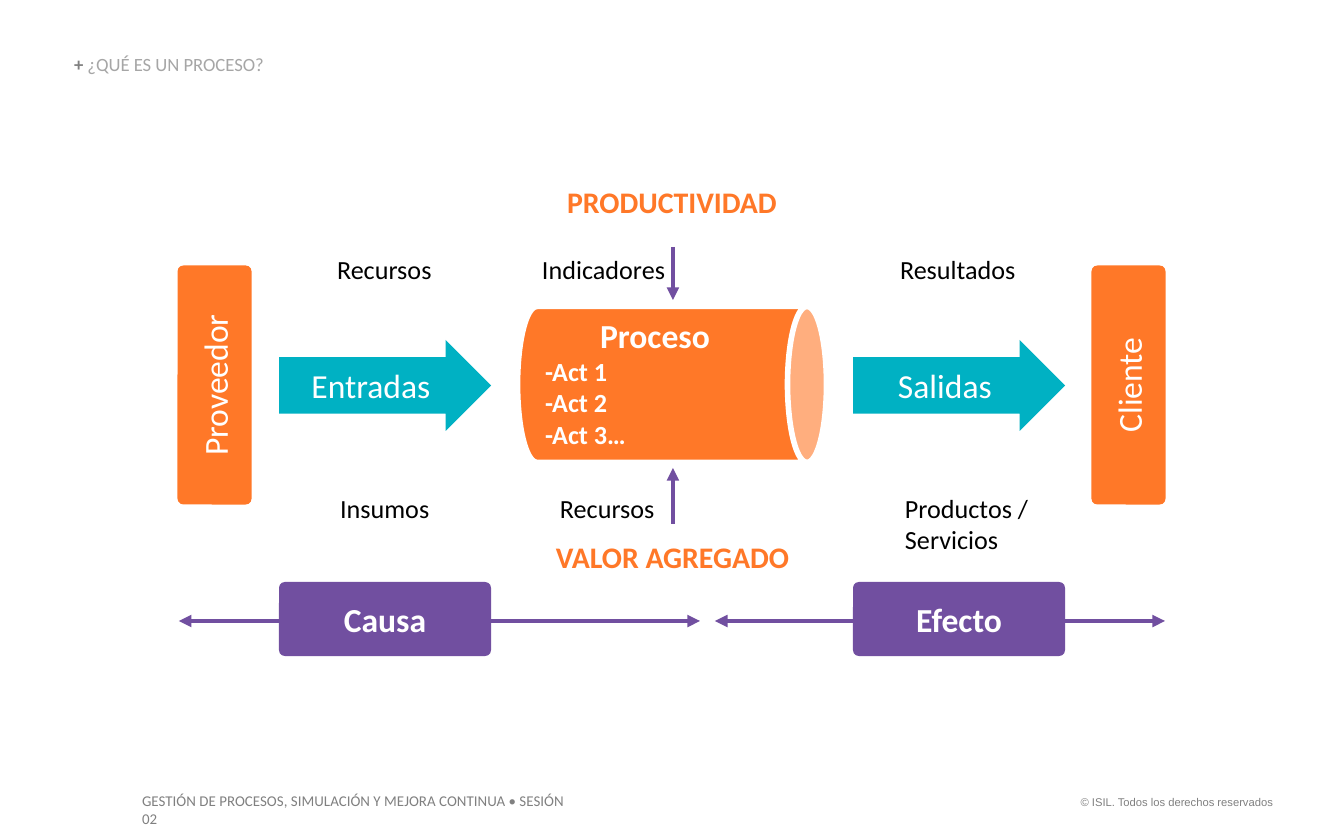
from lxml.etree import SubElement
from pptx import Presentation
from pptx.dml.color import RGBColor
from pptx.enum.shapes import MSO_CONNECTOR, MSO_SHAPE
from pptx.enum.text import MSO_ANCHOR, PP_ALIGN
from pptx.oxml.ns import qn
from pptx.util import Pt

SCALE = 914400 / 134.4
COLORS = {
    "orange": "FF7828", "teal": "00B1C3", "purple": "714FA0", "white": "FFFFFF",
    "black": "000000", "gray": "808080", "silver": "A6A6A6",
}


def px(*lengths):
    return [round(length * SCALE) for length in lengths]


def rgb(name):
    return RGBColor.from_string(COLORS[name])


class ProcessSlide:
    """Draws the process diagram in one style on the current slide."""

    font = {"name": "Calibri", "size": 14, "bold": False, "color": "black"}

    def __init__(self, page):
        self.page = page

    def add_span(self, para, text, **style):
        span = para.add_run()
        span.text = text
        values = {**self.font, **style}
        span.font.color.rgb = rgb(values.pop("color"))
        values["size"] = Pt(values["size"])
        for name, value in values.items():
            setattr(span.font, name, value)

    def add_text(self, area, lines, align=PP_ALIGN.LEFT, wrap=False, inset=(0, 0),
                 anchor=MSO_ANCHOR.TOP, **style):
        frame = self.page.shapes.add_textbox(*px(*area)).text_frame
        across, down = px(*inset)
        layout = {
            "word_wrap": wrap, "vertical_anchor": anchor,
            "margin_left": across, "margin_right": across,
            "margin_top": down, "margin_bottom": down,
        }
        for name, value in layout.items():
            setattr(frame, name, value)
        for index, line in enumerate(lines):
            para = frame.add_paragraph() if index else frame.paragraphs[0]
            para.alignment = align
            self.add_span(para, line, **style)
        return frame

    def add_box(self, preset, area, fill, label="", rotation=0, adjust=(), border=0, **style):
        box = self.page.shapes.add_shape(preset, *px(*area))
        box.shadow.inherit = False
        box.rotation = rotation
        box.fill.solid()
        box.fill.fore_color.rgb = rgb(fill)
        if border:
            box.line.color.rgb = rgb("white")
            box.line.width = Pt(border)
        else:
            box.line.fill.background()
        for index, value in enumerate(adjust):
            box.adjustments[index] = value
        if label:
            box.text_frame.vertical_anchor = MSO_ANCHOR.MIDDLE
            para = box.text_frame.paragraphs[0]
            para.alignment = PP_ALIGN.CENTER
            self.add_span(para, label, size=18, color="white", **style)

    def add_arrow(self, start, end, ends=("tailEnd",)):
        arrow = self.page.shapes.add_connector(MSO_CONNECTOR.STRAIGHT, *px(*start, *end))
        arrow.line.color.rgb = rgb("purple")
        arrow.line.width = Pt(2.25)
        properties = arrow._element.spPr
        for name in ends:
            SubElement(properties.find(qn("a:ln")), qn(f"a:{name}"), type="triangle")
        SubElement(properties, qn("a:effectLst"))


def main():
    deck = Presentation()
    deck.slide_width, deck.slide_height = px(1344, 840)
    slide = ProcessSlide(deck.slides.add_slide(deck.slide_layouts[6]))

    slide.add_text((1059, 789, 227, 27), ["© ISIL. Todos los derechos reservados"],
                   align=PP_ALIGN.RIGHT, inset=(13, 7), name="Arial", size=6, color="gray")
    slide.add_text((129, 785, 466, 32),
                   ["GESTIÓN DE PROCESOS, SIMULACIÓN Y MEJORA CONTINUA • SESIÓN 02"],
                   wrap=True, inset=(13, 7), size=8, color="gray")

    for left, right in ((179, 700), (715, 1165)):
        slide.add_arrow((left, 621), (right, 621), ("headEnd", "tailEnd"))
    for left, label in ((95, "Proveedor"), (1009, "Cliente")):
        slide.add_box(MSO_SHAPE.ROUNDED_RECTANGLE, (left, 348, 239, 74), "orange", label,
                      rotation=270, adjust=(0.08,))
    for left, flow, role in ((279, "Entradas", "Causa"), (853, "Salidas", "Efecto")):
        slide.add_box(MSO_SHAPE.RIGHT_ARROW, (left, 340, 212, 91), "teal", flow,
                      adjust=(0.62, 0.5))
        slide.add_box(MSO_SHAPE.ROUNDED_RECTANGLE, (left, 582, 212, 74), "purple", role,
                      adjust=(0.08,), bold=True)

    slide.add_box(MSO_SHAPE.CAN, (594, 230, 156, 309), "orange", rotation=90, border=3)
    process = slide.add_text((532, 308, 246, 149),
                             ["Proceso", "-Act 1", "-Act 2", "-Act 3…"],
                             wrap=True, inset=(13, 7), bold=True, color="white")
    heading = process.paragraphs[0]
    heading.alignment = PP_ALIGN.CENTER
    heading.runs[0].font.size = Pt(18)

    for start, end in ((524, 468), (247, 300)):
        slide.add_arrow((673, start), (673, end))

    labels = (
        (900, 253, 117, ["Resultados"]),
        (337, 253, 95, ["Recursos"]),
        (542, 253, 124, ["Indicadores"]),
        (340, 492, 90, ["Insumos"]),
        (905, 492, 124, ["Productos /", "Servicios"]),
        (560, 492, 95, ["Recursos"]),
    )
    for left, top, width, lines in labels:
        slide.add_text((left, top, width, 32 * len(lines)), lines)
    for left, top, width, title in ((566, 184, 212, "PRODUCTIVIDAD"),
                                    (554, 539, 237, "VALOR AGREGADO")):
        slide.add_text((left, top, width, 36), [title], align=PP_ALIGN.CENTER,
                       size=16, bold=True, color="orange")

    header = slide.add_text((74, 56, 357, 20), ["+ "], wrap=True, anchor=MSO_ANCHOR.BOTTOM,
                            size=10, bold=True, color="gray").paragraphs[0]
    header.line_spacing = 0.9
    slide.add_span(header, "¿QUÉ ES UN PROCESO?", size=10, color="silver")

    deck.save("out.pptx")


if __name__ == "__main__":
    main()
